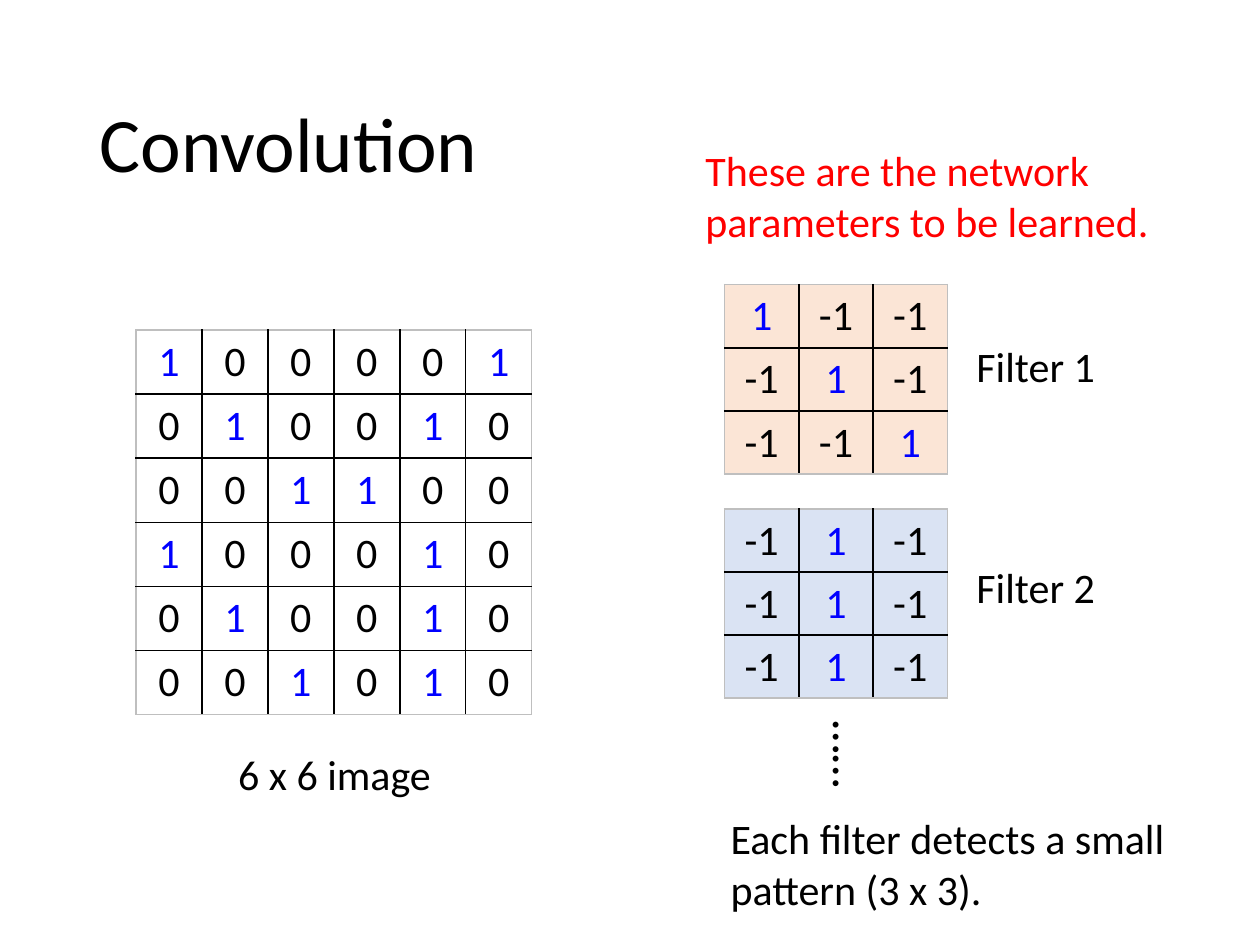
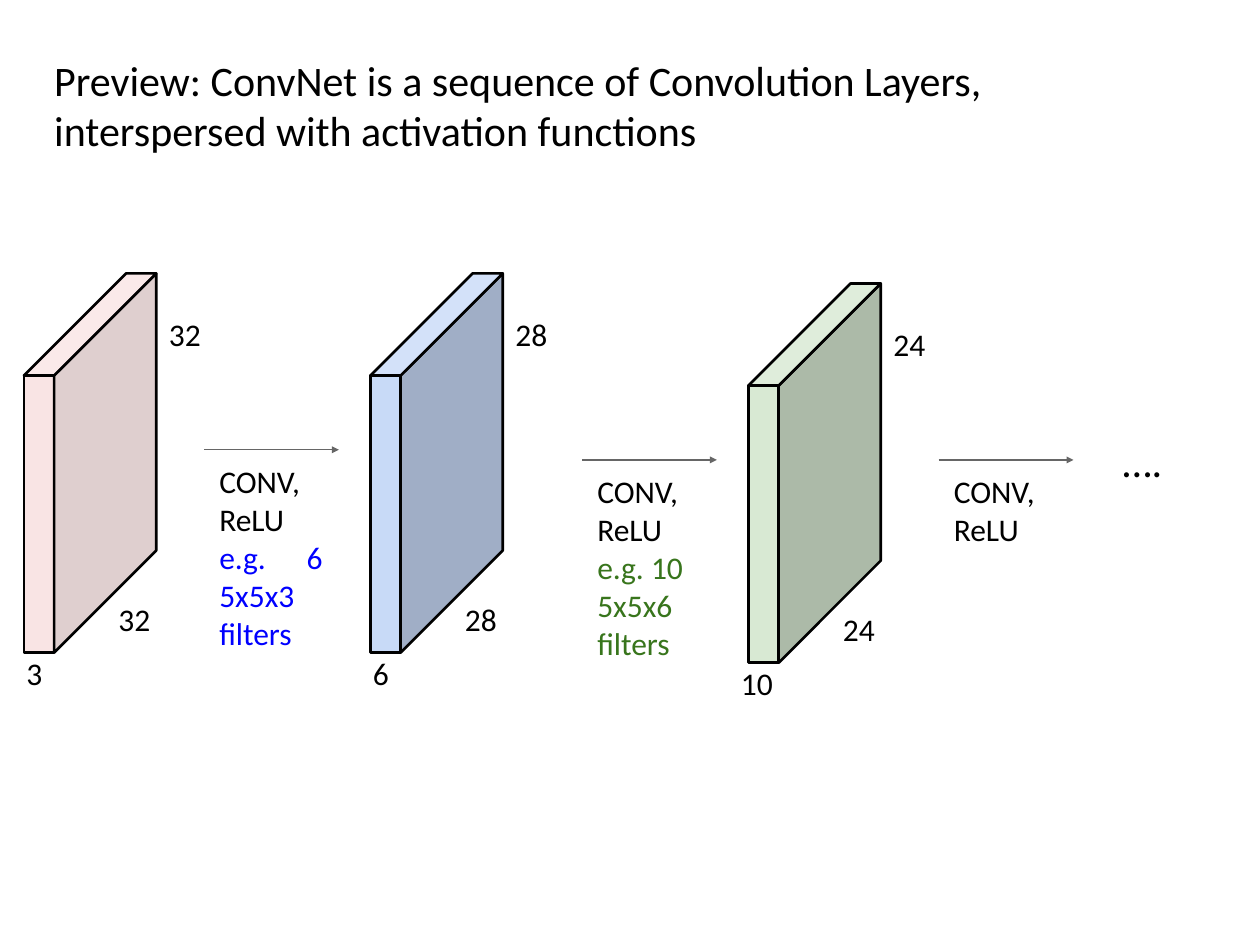
from lxml import etree
from pptx import Presentation
from pptx.dml.color import RGBColor
from pptx.enum.shapes import MSO_CONNECTOR
from pptx.enum.text import MSO_ANCHOR, MSO_AUTO_SIZE, PP_ALIGN
from pptx.oxml.ns import qn
from pptx.util import Inches, Pt

LEFT, MID, JUST = PP_ALIGN.LEFT, PP_ALIGN.CENTER, PP_ALIGN.JUSTIFY
CENTRE = MSO_ANCHOR.MIDDLE
FIXED = MSO_AUTO_SIZE.NONE
STRAIGHT = MSO_CONNECTOR.STRAIGHT
TITLE_ONLY = 5
FONT = "Calibri"
COLORS = {
    "black": "000000", "white": "FFFFFF", "blue": "0000FF", "red": "FF0000",
    "green": "38751C", "grey": "666666", "edge": "BFBFBF",
    "peach": "FBE5D6", "sky": "DAE3F3",
}
PINK = ("F4CCCC", "C3A3A3", "F6D6D6")
AZURE = ("C8DAF7", "A0AEC6", "D3E1F9")
MINT = ("D8E9D3", "ACBAA8", "DFEDDB")

IMAGE = ["100001", "010010", "001100", "100010", "010010", "001010"]
FILTERS = [
    ("Filter 1", "peach", 2.26, 2.65, [[1, -1, -1], [-1, 1, -1], [-1, -1, 1]]),
    ("Filter 2", "sky", 4.04, 4.41, [[-1, 1, -1]] * 3),
]


def rgb(name):
    return RGBColor.from_string(COLORS.get(name, name))


class Deck:
    def __init__(self):
        self.prs = Presentation()
        self.prs.slide_width, self.prs.slide_height = Inches(10), Inches(7.5)
        self.slide = None

    def style(self, para, size, color="black", align=LEFT):
        para.alignment = align
        for run in para.runs:
            run.font.name, run.font.size = FONT, Pt(size)
            run.font.color.rgb = rgb(color)

    def inset(self, frame):
        frame.margin_left = frame.margin_right = frame.margin_bottom = 0
        frame.margin_top = Inches(0.01)

    def title(self, text, box, size, tight=False):
        """Add a slide and set its title."""
        layout = self.prs.slide_layouts[TITLE_ONLY]
        self.slide = self.prs.slides.add_slide(layout)
        head = self.slide.shapes.title
        head.left, head.top, head.width, head.height = map(Inches, box)
        frame = head.text_frame
        frame.text = text
        frame.word_wrap, frame.auto_size = True, FIXED
        frame.vertical_anchor = CENTRE
        if tight:
            self.inset(frame)
        self.style(frame.paragraphs[0], size)

    def text(self, lines, box, size=24, align=LEFT, tight=False, turn=0):
        """Add a text box; lines holds (text, color, align) or is one string."""
        if isinstance(lines, str):
            lines = [(lines, "black", align)]
        shape = self.slide.shapes.add_textbox(*map(Inches, box))
        shape.rotation = turn
        frame = shape.text_frame
        frame.word_wrap = True
        if tight:
            self.inset(frame)
        frame.text = "\n".join(line[0] for line in lines)
        for para, (_, color, side) in zip(frame.paragraphs, lines):
            self.style(para, size, color, side)

    def border(self, cell, sides):
        """Draw the sides, given as {tag: color}, of a cell."""
        props = cell._tc.get_or_add_tcPr()
        for at, (tag, color) in enumerate(sides.items()):
            line = etree.Element(qn("a:" + tag), w=str(Pt(1)))
            fill = etree.SubElement(line, qn("a:solidFill"))
            etree.SubElement(fill, qn("a:srgbClr"), val=COLORS[color])
            props.insert(at, line)

    def grid(self, rows, box, fill):
        """Add a table of numbers with every 1 in blue."""
        high, wide = len(rows), len(rows[0])
        table = self.slide.shapes.add_table(high, wide, *map(Inches, box)).table
        table.first_row = table.horz_banding = False
        for r, row in enumerate(rows):
            for c, value in enumerate(row):
                cell = table.cell(r, c)
                cell.text = str(value)
                cell.fill.solid()
                cell.fill.fore_color.rgb = rgb(fill)
                color = "blue" if cell.text == "1" else "black"
                self.style(cell.text_frame.paragraphs[0], 24, color, MID)
                outer = {"lnL": c == 0, "lnR": c == wide - 1,
                         "lnT": r == 0, "lnB": r == high - 1}
                self.border(cell, {tag: "edge" if out else "black"
                                   for tag, out in outer.items()})

    def face(self, points, color, alpha):
        spots = [(Inches(x), Inches(y)) for x, y in points]
        pen = self.slide.shapes.build_freeform(*spots[0])
        pen.add_line_segments(spots[1:], close=True)
        shape = pen.convert_to_shape()
        shape.shadow.inherit = False
        shape.fill.solid()
        shape.fill.fore_color.rgb = rgb(color)
        if alpha < 100:
            tint = shape.fill._xPr.find(".//" + qn("a:srgbClr"))
            etree.SubElement(tint, qn("a:alpha"), val=str(alpha * 1000))
        shape.line.color.rgb = rgb("black")
        shape.line.width = Pt(1.5)

    def block(self, x, y, colors, size, depth, shift=0.02, alpha=100):
        """Draw a slab with its size and depth; colors are front, side, top."""
        thick, skew, tall = 0.24, 0.81, 2.2
        edge, far = x + thick, x + thick + skew
        top, base = y + skew, y + skew + tall
        front = [(x, top), (edge, top), (edge, base), (x, base)]
        side = [(edge, base), (edge, top), (far, y), (far, y + tall)]
        lid = [(edge, top), (x, top), (x + skew, y), (far, y)]
        for points, color in zip((front, side, lid), colors):
            self.face(points, color, alpha)
        labels = [(size, 0.75, 2.58), (size, 1.15, 0.32), (depth, shift, 3.01)]
        for label, dx, dy in labels:
            self.text(label, (x + dx, y + dy, 0.31, 0.33), 18, tight=True)

    def step(self, x, y, note=None):
        """Draw an arrow with its operation and an optional (text, color, align)."""
        line = self.slide.shapes.add_connector(
            STRAIGHT, *map(Inches, (x, y, x + 1.07, y)))
        line.line.color.rgb = rgb("grey")
        line.line.width = Pt(0.75)
        etree.SubElement(line.line._get_or_add_ln(), qn("a:tailEnd"),
                         type="triangle", w="sm", len="sm")
        etree.SubElement(line._element.spPr, qn("a:effectLst"))
        lines = [("CONV, ReLU", "black", LEFT)] + ([note] if note else [])
        tall = 1.54 if note else 0.63
        self.text(lines, (x + 0.12, y + 0.09, 0.82, tall), 18, tight=True)


def filters(deck):
    deck.title("Convolution", (0.69, 0.4, 8.62, 1.45), 44)
    deck.grid(IMAGE, (1.08, 2.62, 3.14, 3.05), "white")
    deck.text("6 x 6 image", (1.37, 5.89, 2.57, 0.5), align=MID)
    for name, fill, top, tag, rows in FILTERS:
        deck.grid(rows, (5.75, top, 1.77, 1.5), fill)
        deck.text(name, (7.43, tag, 1.58, 0.51), align=MID)
    deck.text("……", (6.38, 5.72, 0.77, 0.57), 28, turn=90)
    deck.text([("These are the network parameters to be learned.", "red", LEFT)],
              (5.5, 1.1, 4.33, 0.91))
    deck.text("Each filter detects a small pattern (3 x 3).",
              (5.7, 6.4, 3.89, 0.91))


def layers(deck):
    deck.title("Preview: ConvNet is a sequence of Convolution Layers, "
               "interspersed with activation functions",
               (0.43, 0.42, 9.1, 0.81), 24, tight=True)
    deck.block(0.19, 2.17, PINK, "32", "3", alpha=52)
    deck.step(1.62, 3.57, ("e.g. 6 5x5x3 filters", "blue", JUST))
    deck.block(2.94, 2.17, AZURE, "28", "6")
    deck.step(4.62, 3.65, ("e.g. 10 5x5x6 filters", "green", LEFT))
    deck.block(5.94, 2.25, MINT, "24", "10", shift=-0.06)
    deck.step(7.45, 3.65)
    deck.text("….", (8.91, 3.45, 0.45, 0.43), tight=True)


def main():
    deck = Deck()
    filters(deck)
    layers(deck)
    deck.prs.save("out.pptx")


if __name__ == "__main__":
    main()
